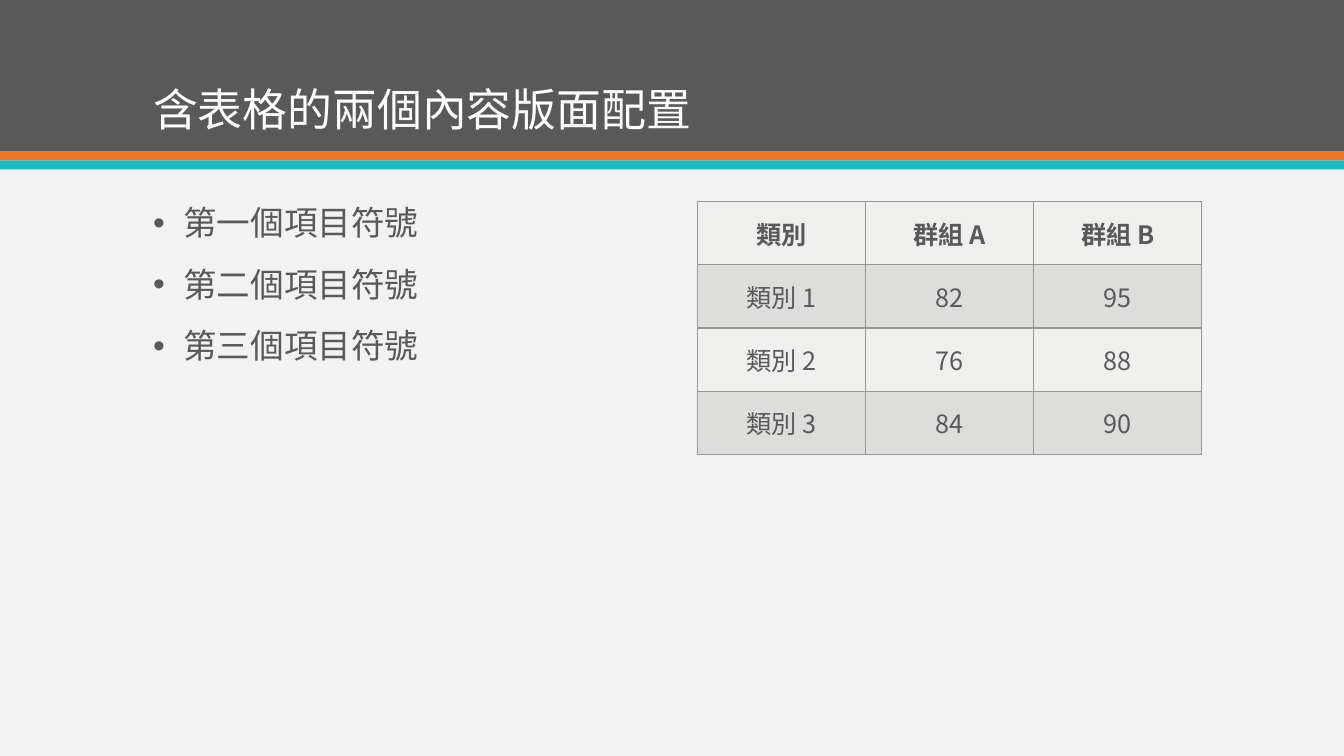
from lxml.etree import SubElement
from pptx import Presentation
from pptx.dml.color import RGBColor
from pptx.enum.shapes import MSO_SHAPE
from pptx.enum.text import MSO_ANCHOR, PP_ALIGN
from pptx.oxml.ns import qn
from pptx.util import Inches, Pt

COLORS = {
    "background": "F2F2F2",
    "band": "595959",
    "orange": "EF7920",
    "teal": "1EB8C1",
    "title": "FFFFFF",
    "text": "595959",
    "border": "969890",
    "light_row": "EFEFEE",
    "dark_row": "DDDDDB",
}
FONT = "Noto Sans CJK TC"
WIDTH, HEIGHT = 13.33, 7.5
MARGIN, COLUMN, GAP = 1.42, 5, 0.5
BODY_TOP = 2
BULLET_INDENT = 0.3

TITLE = "含表格的兩個內容版面配置"
BULLETS = ["第一個項目符號", "第二個項目符號", "第三個項目符號"]
TABLE_ROWS = [
    ["類別", "群組 A", "群組 B"],
    ["類別 1", "82", "95"],
    ["類別 2", "76", "88"],
    ["類別 3", "84", "90"],
]


def color(name):
    """Return the named palette color."""
    return RGBColor.from_string(COLORS[name])


def apply_format(target, values):
    """Set each attribute in values on the target."""
    for name, value in values.items():
        setattr(target, name, value)


def paint(fill, name):
    """Make a fill solid in the named color."""
    fill.solid()
    fill.fore_color.rgb = color(name)


def write(paragraph, text, size, color_name, bold=False, **layout):
    """Write one formatted run into a paragraph."""
    apply_format(paragraph, layout)
    run = paragraph.add_run()
    run.text = text
    apply_format(run.font, {"size": Pt(size), "bold": bold, "name": FONT})
    run.font.color.rgb = color(color_name)
    SubElement(run._r.get_or_add_rPr(), qn("a:ea"), typeface=FONT)


def add_text_frame(slide, box, anchor):
    """Add a wrapping text box and return its frame."""
    frame = slide.shapes.add_textbox(*map(Inches, box)).text_frame
    apply_format(frame, {"word_wrap": True, "vertical_anchor": anchor})
    return frame


def add_header(slide, box):
    """Draw the title band, its two stripes and the title."""
    left, top, width, height = box
    stripe = 0.09
    bands = [
        ("band", top, height),
        ("orange", top + height, stripe),
        ("teal", top + height + stripe, stripe),
    ]
    for name, band_top, band_height in bands:
        place = map(Inches, (left, band_top, width, band_height))
        band = slide.shapes.add_shape(MSO_SHAPE.RECTANGLE, *place)
        band.shadow.inherit = False
        paint(band.fill, name)
        band.line.fill.background()
    title_box = (left + MARGIN, top + 0.28, 2 * COLUMN + GAP, 0.75 * height)
    frame = add_text_frame(slide, title_box, MSO_ANCHOR.BOTTOM)
    write(frame.paragraphs[0], TITLE, 32, "title", line_spacing=0.9)


def add_bullets(slide, box):
    """Write the bulleted list in its box."""
    frame = add_text_frame(slide, box, MSO_ANCHOR.TOP)
    for index, text in enumerate(BULLETS):
        paragraph = frame.add_paragraph() if index else frame.paragraphs[0]
        properties = paragraph._p.get_or_add_pPr()
        properties.set("marL", str(Inches(BULLET_INDENT)))
        properties.set("indent", str(-Inches(BULLET_INDENT)))
        SubElement(properties, qn("a:buFont"), typeface="Arial")
        SubElement(properties, qn("a:buChar"), char="•")
        space = Pt(18 if index else 0)
        write(paragraph, text, 24, "text", line_spacing=0.9, space_before=space)


def add_borders(cell):
    """Draw a thin line on all four sides of a cell."""
    properties = cell._tc.get_or_add_tcPr()
    for index, side in enumerate(("lnL", "lnR", "lnT", "lnB")):
        line = properties.makeelement(qn(f"a:{side}"), {"w": str(Pt(1))})
        fill = SubElement(line, qn("a:solidFill"))
        SubElement(fill, qn("a:srgbClr"), val=COLORS["border"])
        properties.insert(index, line)


def add_scores(slide, box):
    """Build the table with equal columns and rows in its box."""
    place = map(Inches, box)
    row_count, column_count = len(TABLE_ROWS), len(TABLE_ROWS[0])
    table = slide.shapes.add_table(row_count, column_count, *place).table
    apply_format(table, {"first_row": False, "horz_banding": False})
    for row, values in enumerate(TABLE_ROWS):
        for column, text in enumerate(values):
            cell = table.cell(row, column)
            cell.vertical_anchor = MSO_ANCHOR.MIDDLE
            paint(cell.fill, "dark_row" if row % 2 else "light_row")
            add_borders(cell)
            paragraph = cell.text_frame.paragraphs[0]
            write(paragraph, text, 18, "text", row == 0, alignment=PP_ALIGN.CENTER)


def main():
    """Build and save the presentation."""
    presentation = Presentation()
    size = {"slide_width": Inches(WIDTH), "slide_height": Inches(HEIGHT)}
    apply_format(presentation, size)
    slide = presentation.slides.add_slide(presentation.slide_layouts[6])
    paint(slide.background.fill, "background")
    add_header(slide, (0, 0, WIDTH, HEIGHT / 5))
    add_bullets(slide, (MARGIN, BODY_TOP, COLUMN, 4.75))
    add_scores(slide, (MARGIN + COLUMN + GAP, BODY_TOP, COLUMN, 2.51))
    presentation.save("out.pptx")


if __name__ == "__main__":
    main()
